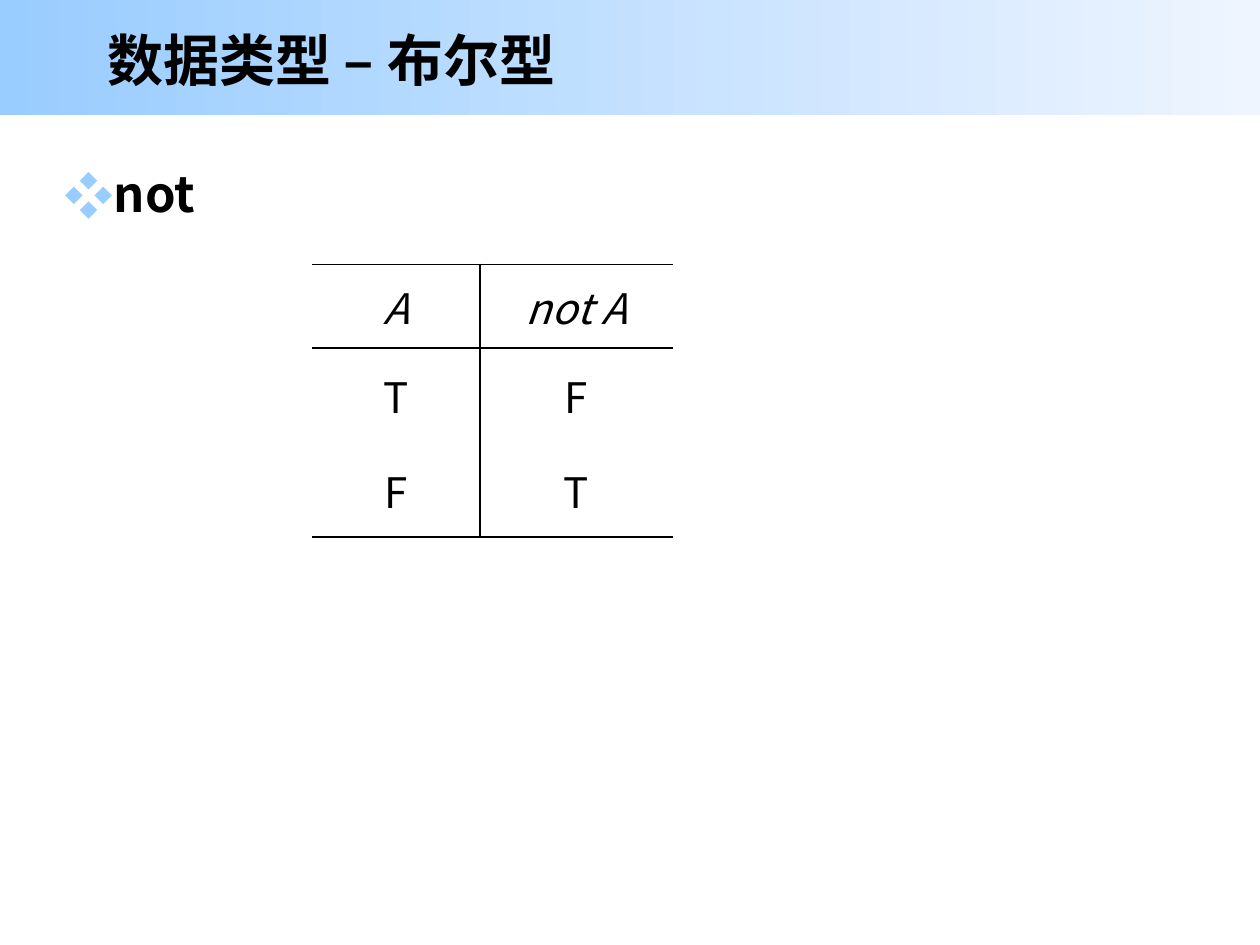
from lxml.etree import SubElement
from pptx import Presentation
from pptx.dml.color import RGBColor
from pptx.enum.shapes import MSO_SHAPE
from pptx.enum.text import MSO_ANCHOR, PP_ALIGN
from pptx.oxml.ns import qn
from pptx.util import Pt

COLORS = {"text": "000000", "accent": "99CCFF", "pale": "EEF5FF"}
FONT = "Noto Sans CJK SC"


class SlideBuilder:
    def __init__(self, presentation):
        layout = presentation.slide_layouts.get_by_name("Title Only")
        self.slide = presentation.slides.add_slide(layout)

    def style(self, paragraph, size, bold=False, italic=False):
        for run in paragraph.runs:
            font = run.font
            font.name, font.size = FONT, Pt(size)
            font.bold, font.italic = bold, italic
            font.color.rgb = RGBColor.from_string(COLORS["text"])
            SubElement(run._r.get_or_add_rPr(), qn("a:ea"), typeface=FONT)

    def band(self, left, top, width, height):
        shape = self.slide.shapes.add_shape(
            MSO_SHAPE.RECTANGLE, Pt(left), Pt(top), Pt(width), Pt(height))
        shape.shadow.inherit = False
        shape.line.fill.background()
        shape.fill.gradient()
        shape.fill.gradient_angle = 0
        for stop, position, name in zip(
                shape.fill.gradient_stops, (0, 1), ("accent", "pale")):
            stop.position = position
            stop.color.rgb = RGBColor.from_string(COLORS[name])
        # Send the band behind the title
        self.slide.shapes._spTree.insert(2, shape._element)

    def title(self, text, left, top, width, height):
        title = self.slide.shapes.title
        title.left, title.top = Pt(left), Pt(top)
        title.width, title.height = Pt(width), Pt(height)
        frame = title.text_frame
        frame.text = text
        frame.vertical_anchor = MSO_ANCHOR.MIDDLE
        frame.paragraphs[0].alignment = PP_ALIGN.LEFT
        self.style(frame.paragraphs[0], 32, bold=True)

    def bullet(self, text, left, top, width, height, indent=27):
        box = self.slide.shapes.add_textbox(
            Pt(left), Pt(top), Pt(width), Pt(height))
        frame = box.text_frame
        frame.word_wrap = True
        frame.text = text
        paragraph = frame.paragraphs[0]
        properties = paragraph._p.get_or_add_pPr()
        properties.set("marL", str(Pt(indent)))
        properties.set("indent", str(-Pt(indent)))
        color = SubElement(properties, qn("a:buClr"))
        SubElement(color, qn("a:srgbClr"), val=COLORS["accent"])
        SubElement(properties, qn("a:buFont"), typeface=FONT)
        SubElement(properties, qn("a:buChar"), char="❖")
        self.style(paragraph, 28, bold=True)

    def borders(self, cell, visible):
        properties = cell._tc.get_or_add_tcPr()
        for side in "LRTB":
            line = SubElement(properties, qn(f"a:ln{side}"), w=str(Pt(1)))
            if side in visible:
                fill = SubElement(line, qn("a:solidFill"))
                SubElement(fill, qn("a:srgbClr"), val=COLORS["text"])
            else:
                SubElement(line, qn("a:noFill"))

    def truth_table(self, rows, left, top, widths, heights):
        table = self.slide.shapes.add_table(
            len(rows), len(widths), Pt(left), Pt(top),
            Pt(sum(widths)), Pt(sum(heights))).table
        table.first_row = table.horz_banding = False
        for column, width in zip(table.columns, widths):
            column.width = Pt(width)
        for row, height in zip(table.rows, heights):
            row.height = Pt(height)
        # Rules around the header, below the last row and between columns
        row_sides = ["TB", "T"] + [""] * (len(rows) - 2)
        row_sides[-1] += "B"
        for r, values in enumerate(rows):
            for c, value in enumerate(values):
                cell = table.cell(r, c)
                cell.text = value
                cell.vertical_anchor = MSO_ANCHOR.MIDDLE
                self.borders(cell, row_sides[r] + ("L" if c else "R"))
                cell.fill.background()
                paragraph = cell.text_frame.paragraphs[0]
                paragraph.alignment = PP_ALIGN.CENTER
                self.style(paragraph, 24, italic=r == 0)


def main():
    presentation = Presentation()
    presentation.slide_width, presentation.slide_height = Pt(720), Pt(540)
    builder = SlideBuilder(presentation)

    # Heading
    builder.band(0, 0, 720, 66)
    builder.title("数据类型 – 布尔型", 54, 10, 586, 48)

    # Operator and its truth table
    builder.bullet("not", 30, 90, 666, 390)
    builder.truth_table([("A", "not A"), ("T", "F"), ("F", "T")],
                        178.4, 151, (96, 110), (48, 54, 54))

    presentation.save("out.pptx")


if __name__ == "__main__":
    main()
